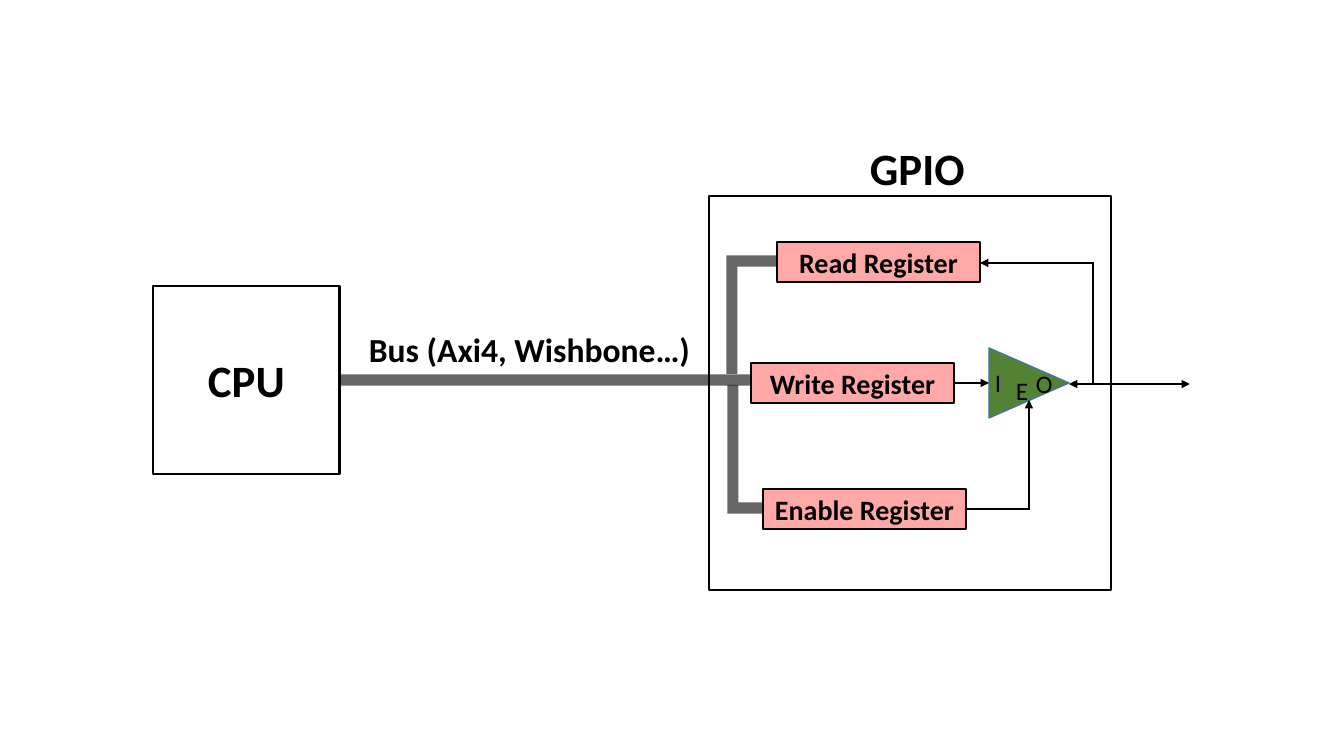
from dataclasses import dataclass

from lxml.etree import SubElement
from pptx import Presentation
from pptx.dml.color import RGBColor
from pptx.enum.shapes import MSO_CONNECTOR, MSO_SHAPE
from pptx.enum.text import MSO_ANCHOR, MSO_AUTO_SIZE, PP_ALIGN
from pptx.oxml.ns import qn
from pptx.util import Pt


@dataclass(frozen=True)
class Theme:
    font: str = "Calibri"
    ink: str = "000000"
    register: str = "FEA8A8"
    buffer: str = "548235"
    buffer_edge: str = "43739E"
    title: int = 32
    bus_label: int = 24
    register_label: int = 20
    pin_label: int = 18
    wire: int = 2
    bus: int = 8
    bus_opacity: int = 60


THEME = Theme()
SCALE = 914400 / 100.8
SLIDE = (1344, 756)
REGISTER_SIZE = (203, 40)

BLOCKS = {
    "CPU": (153, 286, 187, 188),
    "": (709, 196, 402, 394),
}
REGISTERS = {
    "Read Register": (777, 242),
    "Write Register": (751, 363),
    "Enable Register": (763, 489),
}
BUFFER = (994, 343, 70, 80)
LABELS = [
    ("GPIO", (860, 136, 116, 65), THEME.title, True),
    ("Bus (Axi4, Wishbone…)", (359, 324, 345, 50), THEME.bus_label, True),
    ("I", (985, 362, 27, 40), THEME.pin_label, False),
    ("E", (1006, 370, 32, 40), THEME.pin_label, False),
    ("O", (1026, 363, 37, 40), THEME.pin_label, False),
]
BUS_TRUNK = ((340, 380), (750, 380))
BUS_BRANCHES = [((777, 261), (732, 374)), ((763, 508), (733, 385))]
WRITE_WIRE = ((954, 383), (989, 383))
PIN_WIRE = ((1069, 384), (1190, 384))
READ_WIRE = ((980, 263), (1093, 383))
ENABLE_WIRE = ((966, 509), (1029, 400))


def emu(*lengths):
    return [round(length * SCALE) for length in lengths]


def color(code):
    return RGBColor.from_string(code)


def write(shape, text, size, bold=True, align=PP_ALIGN.CENTER, anchor=MSO_ANCHOR.MIDDLE, wrap=True):
    frame = shape.text_frame
    frame.word_wrap = wrap
    frame.vertical_anchor = anchor
    if not wrap:
        frame.auto_size = MSO_AUTO_SIZE.SHAPE_TO_FIT_TEXT
    para = frame.paragraphs[0]
    para.alignment = align
    span = para.add_run()
    span.text = text
    span.font.name = THEME.font
    span.font.size = Pt(size)
    span.font.bold = bold
    span.font.color.rgb = color(THEME.ink)


def add_box(page, bounds, fill=None, edge=THEME.ink, width=THEME.wire, kind=MSO_SHAPE.RECTANGLE):
    box = page.shapes.add_shape(kind, *emu(*bounds))
    box.shadow.inherit = False
    if fill:
        box.fill.solid()
        box.fill.fore_color.rgb = color(fill)
    else:
        box.fill.background()
    box.line.color.rgb = color(edge)
    box.line.width = Pt(width)
    return box


def add_wire(page, ends, width=THEME.wire, bent=False, arrows=(), opacity=None):
    kind = MSO_CONNECTOR.ELBOW if bent else MSO_CONNECTOR.STRAIGHT
    wire = page.shapes.add_connector(kind, *emu(*ends[0], *ends[1]))
    wire.line.color.rgb = color(THEME.ink)
    wire.line.width = Pt(width)
    properties = wire._element.spPr
    if bent:
        properties.find(qn("a:prstGeom")).set("prst", "bentConnector2")
    line = properties.find(qn("a:ln"))
    if opacity:
        ink = line.find(qn("a:solidFill")).find(qn("a:srgbClr"))
        SubElement(ink, qn("a:alpha"), val=str(opacity * 1000))
    SubElement(line, qn("a:miter"), lim="800000")
    for end in arrows:
        SubElement(line, qn(f"a:{end}"), type="triangle")
    SubElement(properties, qn("a:effectLst"))
    return wire


def main():
    deck = Presentation()
    deck.slide_width, deck.slide_height = emu(*SLIDE)
    page = deck.slides.add_slide(deck.slide_layouts[6])

    boxes = {}
    for name, bounds in BLOCKS.items():
        boxes[name] = add_box(page, bounds)
        if name:
            write(boxes[name], name, THEME.title)

    add_wire(page, PIN_WIRE, arrows=("headEnd", "tailEnd"))
    triangle = add_box(page, BUFFER, THEME.buffer, THEME.buffer_edge, 1, MSO_SHAPE.ISOSCELES_TRIANGLE)
    triangle.rotation = 90

    for name, corner in REGISTERS.items():
        boxes[name] = add_box(page, corner + REGISTER_SIZE, THEME.register)
        write(boxes[name], name, THEME.register_label)

    trunk = add_wire(page, BUS_TRUNK, THEME.bus, opacity=THEME.bus_opacity)
    trunk.begin_connect(boxes["CPU"], 3)
    for ends in BUS_BRANCHES:
        add_wire(page, ends, THEME.bus, bent=True, opacity=THEME.bus_opacity)

    write_wire = add_wire(page, WRITE_WIRE, arrows=("tailEnd",))
    write_wire.begin_connect(boxes["Write Register"], 3)
    add_wire(page, READ_WIRE, bent=True, arrows=("headEnd",))
    add_wire(page, ENABLE_WIRE, bent=True, arrows=("tailEnd",))

    for text, bounds, size, bold in LABELS:
        label = page.shapes.add_textbox(*emu(*bounds))
        write(label, text, size, bold, PP_ALIGN.LEFT, MSO_ANCHOR.TOP, wrap=False)

    deck.save("out.pptx")


if __name__ == "__main__":
    main()
